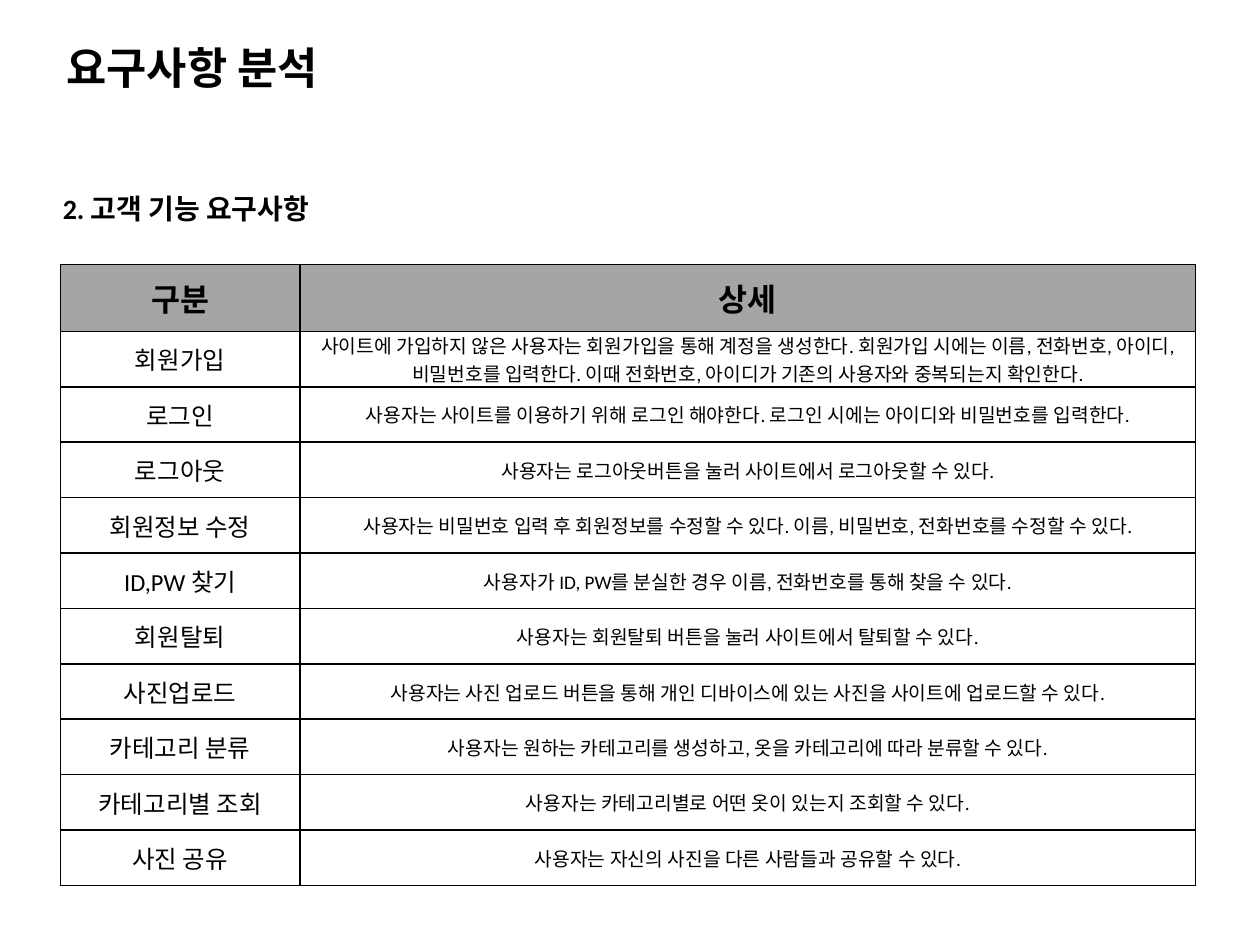
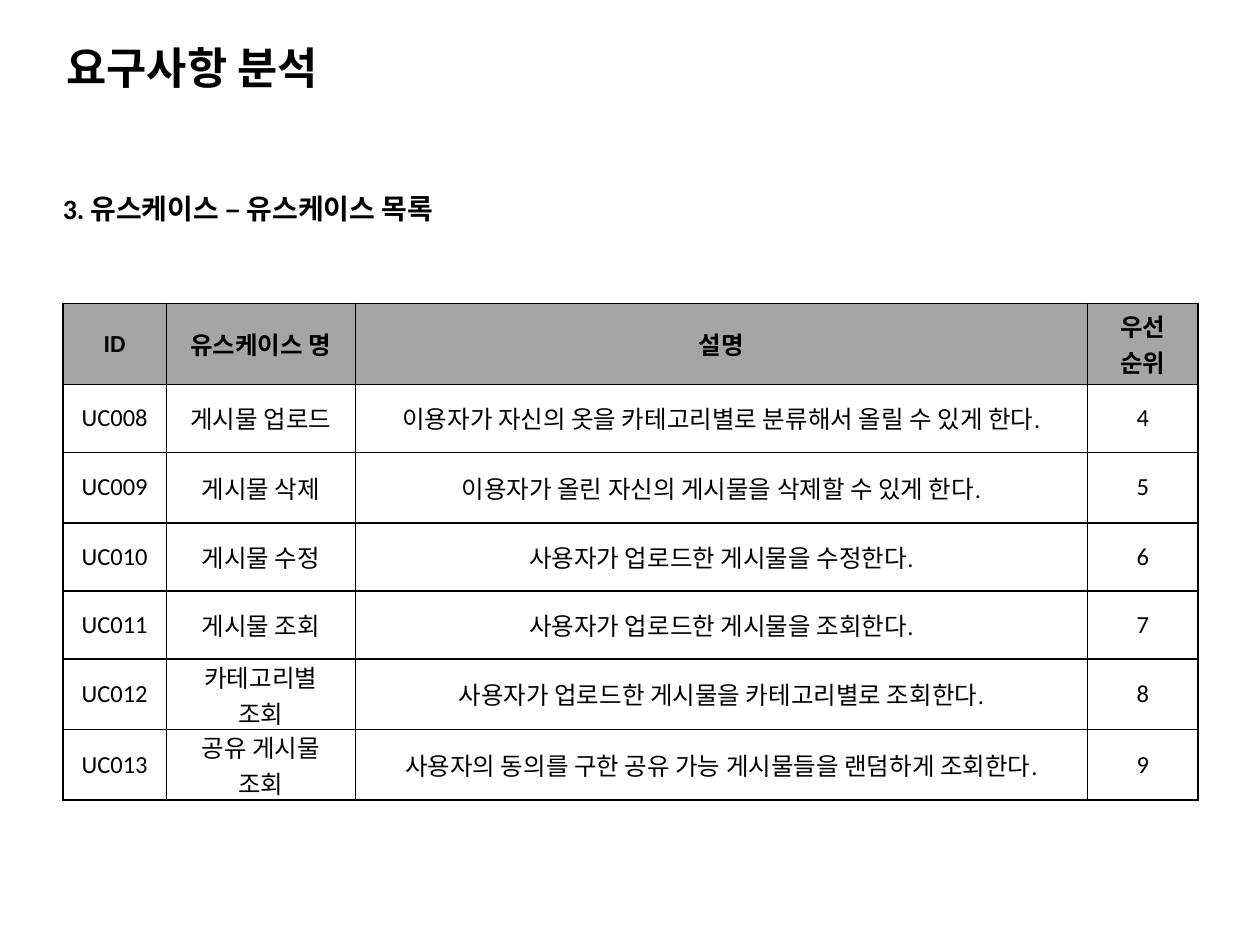
import pptx
import pptx.dml.color
import pptx.enum.text
import pptx.oxml
import pptx.oxml.ns
import pptx.util
from pptx.util import Inches

BLACK = pptx.dml.color.RGBColor(0x00, 0x00, 0x00)
WHITE = pptx.dml.color.RGBColor(0xFF, 0xFF, 0xFF)
HEADER_GRAY = pptx.dml.color.RGBColor(0xA5, 0xA5, 0xA5)
BODY_FONT = "Calibri"
MIDDLE = pptx.enum.text.MSO_ANCHOR.MIDDLE
TOP = pptx.enum.text.MSO_ANCHOR.TOP
CENTER = pptx.enum.text.PP_ALIGN.CENTER
BLANK_LAYOUT = 6

PAGE_TITLE = "요구사항 분석"

CUSTOMER_REQUIREMENTS = [
    ("구분", "상세"),
    ("회원가입", "사이트에 가입하지 않은 사용자는 회원가입을 통해 계정을 생성한다. "
                 "회원가입 시에는 이름, 전화번호, 아이디, 비밀번호를 입력한다. "
                 "이때 전화번호, 아이디가 기존의 사용자와 중복되는지 확인한다."),
    ("로그인", "사용자는 사이트를 이용하기 위해 로그인 해야한다. "
               "로그인 시에는 아이디와 비밀번호를 입력한다."),
    ("로그아웃", "사용자는 로그아웃버튼을 눌러 사이트에서 로그아웃할 수 있다."),
    ("회원정보 수정", "사용자는 비밀번호 입력 후 회원정보를 수정할 수 있다. "
                      "이름, 비밀번호, 전화번호를 수정할 수 있다."),
    ("ID,PW 찾기", "사용자가 ID, PW를 분실한 경우 이름, 전화번호를 통해 찾을 수 있다."),
    ("회원탈퇴", "사용자는 회원탈퇴 버튼을 눌러 사이트에서 탈퇴할 수 있다."),
    ("사진업로드", "사용자는 사진 업로드 버튼을 통해 개인 디바이스에 있는 사진을 "
                   "사이트에 업로드할 수 있다."),
    ("카테고리 분류", "사용자는 원하는 카테고리를 생성하고, 옷을 카테고리에 따라 분류할 수 있다."),
    ("카테고리별 조회", "사용자는 카테고리별로 어떤 옷이 있는지 조회할 수 있다."),
    ("사진 공유", "사용자는 자신의 사진을 다른 사람들과 공유할 수 있다."),
]

USE_CASES = [
    ("ID", "유스케이스 명", "설명", "우선\n순위"),
    ("UC008", "게시물 업로드", "이용자가 자신의 옷을 카테고리별로 분류해서 올릴 수 있게 한다.", "4"),
    ("UC009", "게시물 삭제", "이용자가 올린 자신의 게시물을 삭제할 수 있게 한다.", "5"),
    ("UC010", "게시물 수정", "사용자가 업로드한 게시물을 수정한다.", "6"),
    ("UC011", "게시물 조회", "사용자가 업로드한 게시물을 조회한다.", "7"),
    ("UC012", "카테고리별\n조회", "사용자가 업로드한 게시물을 카테고리별로 조회한다.", "8"),
    ("UC013", "공유 게시물\n조회", "사용자의 동의를 구한 공유 가능 게시물들을 랜덤하게 조회한다.", "9"),
]


class RequirementsDeck:
    def __init__(self):
        self.deck = pptx.Presentation()
        self.deck.slide_width = Inches(10)
        self.deck.slide_height = Inches(7.5)
        self.page = None

    def add_page(self, section):
        self.page = self.deck.slides.add_slide(self.deck.slide_layouts[BLANK_LAYOUT])
        self.add_text((0.43, 0.1, 8.74, 0.87), PAGE_TITLE, 25, MIDDLE)
        para = self.add_text((0.4, 1.47, 8.76, 0.63), section, 16, TOP)
        properties = para._p.get_or_add_pPr()
        properties.set("marL", str(Inches(0.38)))
        properties.set("indent", str(Inches(-0.38)))

    def add_text(self, place, text, size, anchor):
        box = self.page.shapes.add_textbox(*map(Inches, place))
        frame = box.text_frame
        frame.word_wrap = True
        frame.vertical_anchor = anchor
        para = frame.paragraphs[0]
        self.add_span(para, text, size, bold=True)
        return para

    def add_span(self, para, text, size, bold=False, font=BODY_FONT):
        span = para.add_run()
        span.text = text
        span.font.name = font
        span.font.size = pptx.util.Pt(size)
        span.font.bold = bold
        span.font.color.rgb = BLACK

    def add_table(self, left, top, widths, heights, rows, sizes,
                  header_size=14, header_font=BODY_FONT, header_margins=(0.07, 0)):
        """Draw rows under a gray header; sizes holds the body text size of each column."""
        frame = self.page.shapes.add_table(
            len(rows), len(widths), Inches(left), Inches(top),
            Inches(sum(widths)), Inches(sum(heights)))
        table = frame.table
        for column, width in zip(table.columns, widths):
            column.width = Inches(width)
        for row, height in zip(table.rows, heights):
            row.height = Inches(height)
        for row_index, texts in enumerate(rows):
            for column_index, text in enumerate(texts):
                cell = table.cell(row_index, column_index)
                if row_index == 0:
                    self.fill_cell(cell, text, HEADER_GRAY, header_margins,
                                   header_size, True, header_font)
                else:
                    self.fill_cell(cell, text, WHITE, (0.07, 0), sizes[column_index])

    def fill_cell(self, cell, text, color, margins, *text_style):
        side, edge = map(Inches, margins)
        cell.margin_left = cell.margin_right = side
        cell.margin_top = cell.margin_bottom = edge
        cell.vertical_anchor = MIDDLE
        frame = cell.text_frame
        for index, line in enumerate(text.split("\n")):
            para = frame.add_paragraph() if index else frame.paragraphs[0]
            para.alignment = CENTER
            self.add_span(para, line, *text_style)
        self.add_borders(cell)
        cell.fill.solid()
        cell.fill.fore_color.rgb = color

    def add_borders(self, cell):
        properties = cell._tc.get_or_add_tcPr()
        for side in ("lnL", "lnR", "lnT", "lnB"):
            properties.append(pptx.oxml.parse_xml(
                f'<a:{side} {pptx.oxml.ns.nsdecls("a")} w="{pptx.util.Pt(1)}">'
                f'<a:solidFill><a:srgbClr val="{BLACK}"/></a:solidFill></a:{side}>'))


def main():
    builder = RequirementsDeck()

    builder.add_page("2. 고객 기능 요구사항")
    builder.add_table(0.48, 2.1, [1.9, 7.11], [0.53] + [0.44] * 10,
                      CUSTOMER_REQUIREMENTS, [14, 11], header_size=18,
                      header_font="Arial", header_margins=(0.1, 0.05))

    builder.add_page("3. 유스케이스 – 유스케이스 목록")
    builder.add_table(0.5, 2.41, [0.82, 1.5, 5.81, 0.88],
                      [0.64, 0.54, 0.56, 0.54, 0.54, 0.56, 0.56],
                      USE_CASES, [14] * 4)

    builder.deck.save("out.pptx")


if __name__ == "__main__":
    main()
